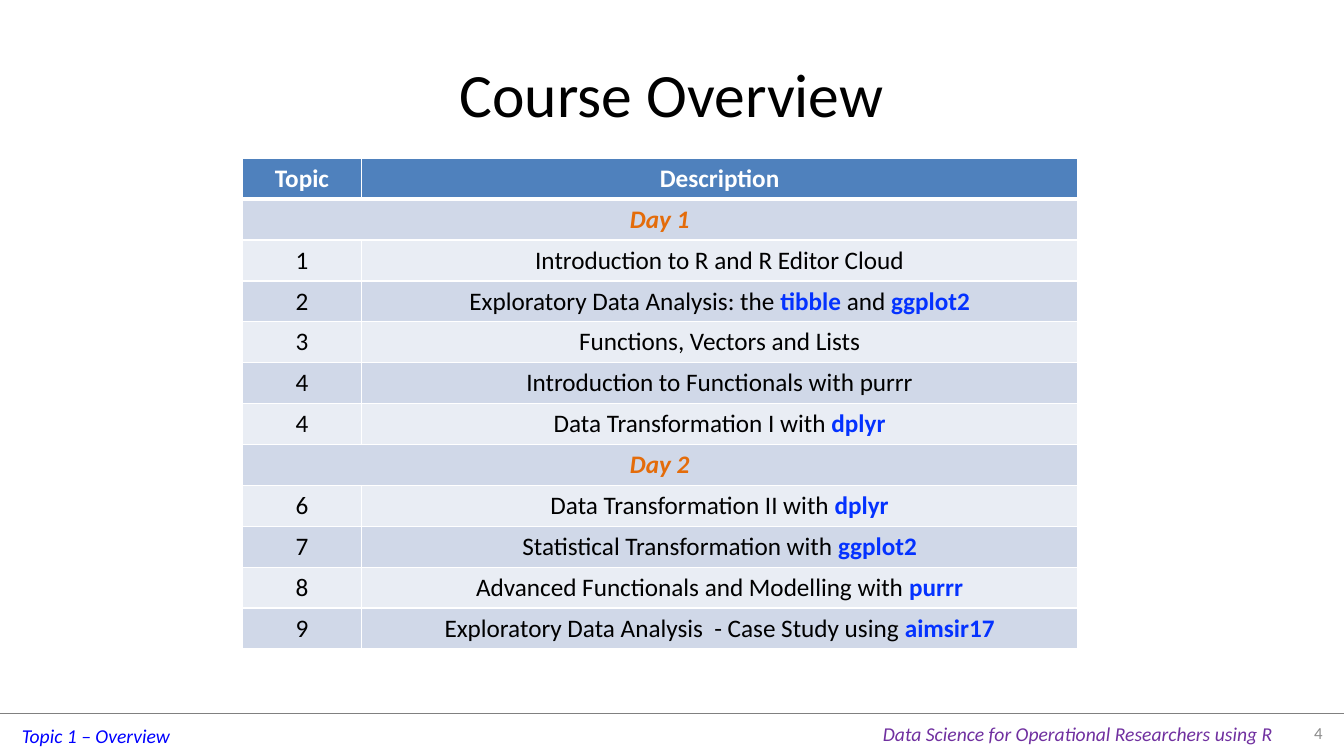
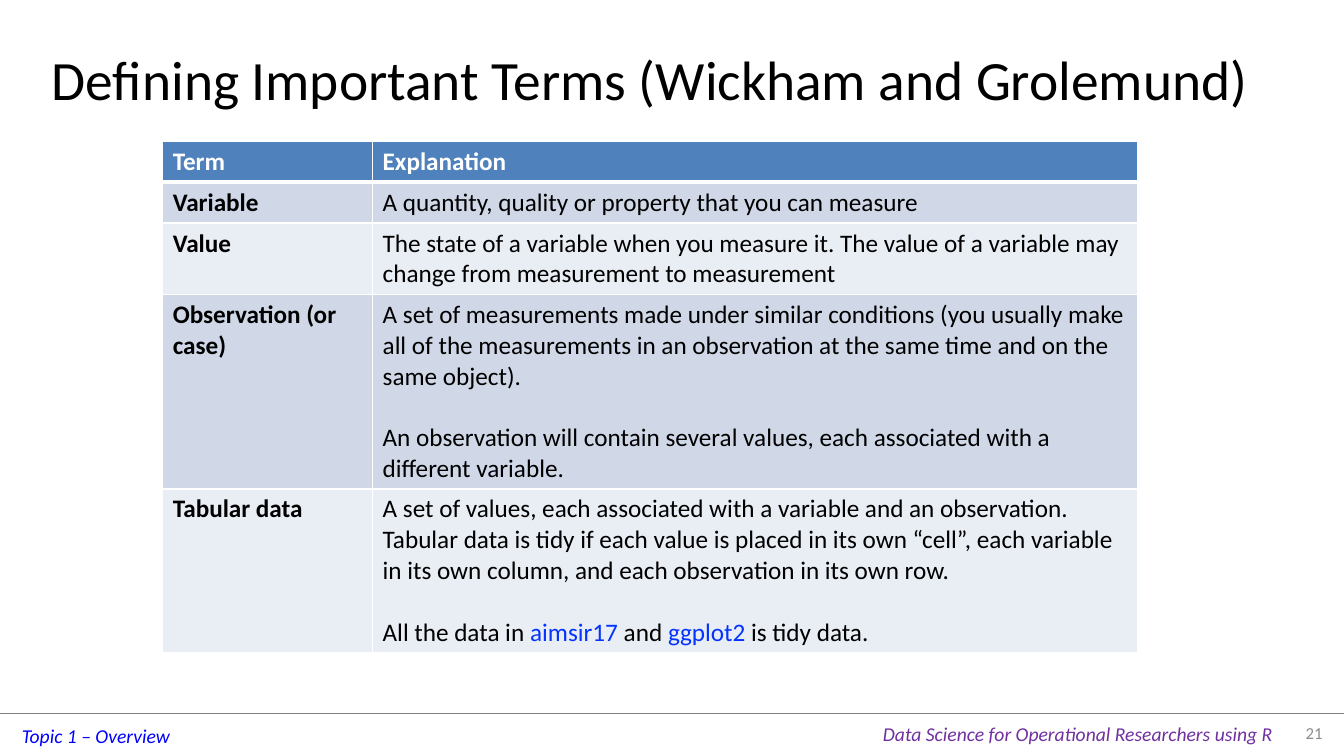
import pptx
import pptx.util
import pptx.dml.color
import pptx.enum.shapes
import pptx.enum.text
import pptx.oxml
import pptx.oxml.ns
import lxml.etree

Cm = pptx.util.Cm
Pt = pptx.util.Pt
ALIGN = pptx.enum.text.PP_ALIGN
MIDDLE = pptx.enum.text.MSO_ANCHOR.MIDDLE
AUTO = pptx.enum.text.MSO_AUTO_SIZE

FONT = "Calibri"
COLOURS = {
    "text": "000000",
    "white": "FFFFFF",
    "header": "4F81BD",
    "dark band": "D0D8E8",
    "light band": "E9EDF4",
    "day": "E46C0A",
    "package": "0432FF",
    "topic": "0000FF",
    "course": "7030A0",
    "number": "8C8C8C",
    "rule": "808080",
}

FOOTERS = [
    ("Topic 1 – Overview", 0.3, 18.11, 4.27, "topic"),
    ("Data Science for Operational Researchers using R", 22, 18.06, 10.44, "course"),
]

PAGES = [
    {
        "title": "Course Overview",
        "title box": (1.69, 0.76, 30.48, 3.18),
        "title size": 44,
        "number": "4",
        "table at": (6.1, 3.99),
        "columns": [3.02, 18.03],
        "heights": [1.03] * 12,
        "align": ALIGN.CENTER,
        "bold packages": True,
        "bold terms": False,
        "rows": [
            ["Topic", "Description"],
            ["Day 1"],
            ["1", "Introduction to R and R Editor Cloud"],
            ["2", "Exploratory Data Analysis: the *tibble* and *ggplot2*"],
            ["3", "Functions, Vectors and Lists"],
            ["4", "Introduction to Functionals with purrr"],
            ["4", "Data Transformation I with *dplyr*"],
            ["Day 2"],
            ["6", "Data Transformation II with *dplyr*"],
            ["7", "Statistical Transformation with *ggplot2*"],
            ["8", "Advanced Functionals and Modelling with *purrr*"],
            ["9", "Exploratory Data Analysis  - Case Study using *aimsir17*"],
        ],
    },
    {
        "title": "Defining Important Terms (Wickham and Grolemund)",
        "title box": (0.58, 0.38, 31.6, 3.18),
        "title size": 39.6,
        "number": "21",
        "table at": (4.1, 3.56),
        "columns": [5.29, 19.28],
        "heights": [1.03, 1.03, 1.8, 4.9, 4.13],
        "align": ALIGN.LEFT,
        "bold packages": False,
        "bold terms": True,
        "rows": [
            ["Term", "Explanation"],
            ["Variable", "A quantity, quality or property that you can measure"],
            ["Value", "The state of a variable when you measure it. The value of a "
             "variable may change from measurement to measurement"],
            ["Observation (or case)",
             "A set of measurements made under similar conditions (you usually make "
             "all of the measurements in an observation at the same time and on the "
             "same object).\n"
             "An observation will contain several values, each associated with a "
             "different variable."],
            ["Tabular data",
             "A set of values, each associated with a variable and an observation. "
             "Tabular data is tidy if each value is placed in its own “cell”, each "
             "variable in its own column, and each observation in its own row.\n"
             "All the data in *aimsir17* and *ggplot2* is tidy data."],
        ],
    },
]


def style(font, size, colour, bold=False, italic=False):
    font.name = FONT
    font.size = Pt(size)
    font.bold = bold
    font.italic = italic
    font.color.rgb = pptx.dml.color.RGBColor.from_string(COLOURS[colour])


def add_borders(cell, bottom_width):
    properties = cell._tc.get_or_add_tcPr()
    for side, width in (("L", 1), ("R", 1), ("T", 1), ("B", bottom_width)):
        properties.append(pptx.oxml.parse_xml(
            f'<a:ln{side} {pptx.oxml.ns.nsdecls("a")} w="{Pt(width)}"><a:solidFill>'
            f'<a:srgbClr val="{COLOURS["white"]}"/></a:solidFill></a:ln{side}>'))


deck = pptx.Presentation()
deck.slide_width = Cm(33.87)
deck.slide_height = Cm(19.05)

for page in PAGES:
    slide = deck.slides.add_slide(deck.slide_layouts[5])

    rule = slide.shapes.add_connector(
        pptx.enum.shapes.MSO_CONNECTOR.STRAIGHT, 0, Cm(17.96), deck.slide_width, Cm(17.96))
    rule.line.width = Pt(0.25)
    rule.line.color.rgb = pptx.dml.color.RGBColor.from_string(COLOURS["rule"])
    lxml.etree.SubElement(rule._element.spPr, pptx.oxml.ns.qn("a:effectLst"))

    for text, left, top, width, colour in FOOTERS:
        box = slide.shapes.add_textbox(Cm(left), Cm(top), Cm(width), Cm(0.86))
        box.text_frame.word_wrap = False
        box.text_frame.auto_size = AUTO.SHAPE_TO_FIT_TEXT
        box.text_frame.text = text
        style(box.text_frame.paragraphs[0].runs[0].font, 14, colour, italic=True)

    title = slide.shapes.title
    title.left, title.top, title.width, title.height = [Cm(v) for v in page["title box"]]
    title.text_frame.text = page["title"]
    title.text_frame.auto_size = AUTO.NONE
    title.text_frame.vertical_anchor = MIDDLE
    para = title.text_frame.paragraphs[0]
    para.alignment = ALIGN.CENTER
    style(para.runs[0].font, page["title size"], "text")

    number = slide.shapes.add_textbox(Cm(32.18), Cm(17.96), Cm(1.4), Cm(0.99))
    number.text_frame.word_wrap = True
    number.text_frame.vertical_anchor = MIDDLE
    number.text_frame.text = page["number"]
    para = number.text_frame.paragraphs[0]
    para.alignment = ALIGN.RIGHT
    style(para.runs[0].font, 12, "number")

    left, top = page["table at"]
    table = slide.shapes.add_table(
        len(page["rows"]), len(page["columns"]), Cm(left), Cm(top),
        Cm(sum(page["columns"])), Cm(sum(page["heights"]))).table
    for column, width in zip(table.columns, page["columns"]):
        column.width = Cm(width)
    for row, height in zip(table.rows, page["heights"]):
        row.height = Cm(height)

    for row_index, texts in enumerate(page["rows"]):
        is_header = row_index == 0
        is_day = len(texts) == 1
        band = "header" if is_header else "dark band" if row_index % 2 else "light band"
        colour = "white" if is_header else "day" if is_day else "text"

        for cell in table.rows[row_index].cells:
            add_borders(cell, 3 if is_header else 1)
            cell.fill.solid()
            cell.fill.fore_color.rgb = pptx.dml.color.RGBColor.from_string(COLOURS[band])
        if is_day:
            table.cell(row_index, 0).merge(table.cell(row_index, 1))

        for column_index, text in enumerate(texts):
            is_term = page["bold terms"] and column_index == 0
            frame = table.cell(row_index, column_index).text_frame
            frame.text = text
            for para_index, para in enumerate(frame.paragraphs):
                pieces = para.text.split("*")
                para.text = ""
                para.alignment = page["align"]
                if para_index:
                    para.space_before = Pt(22)
                for piece_index, piece in enumerate(pieces):
                    if not piece:
                        continue
                    span = para.add_run()
                    span.text = piece
                    if piece_index % 2:
                        style(span.font, 18, "package", page["bold packages"])
                    else:
                        style(span.font, 18, colour, is_header or is_day or is_term, is_day)

deck.save("out.pptx")
